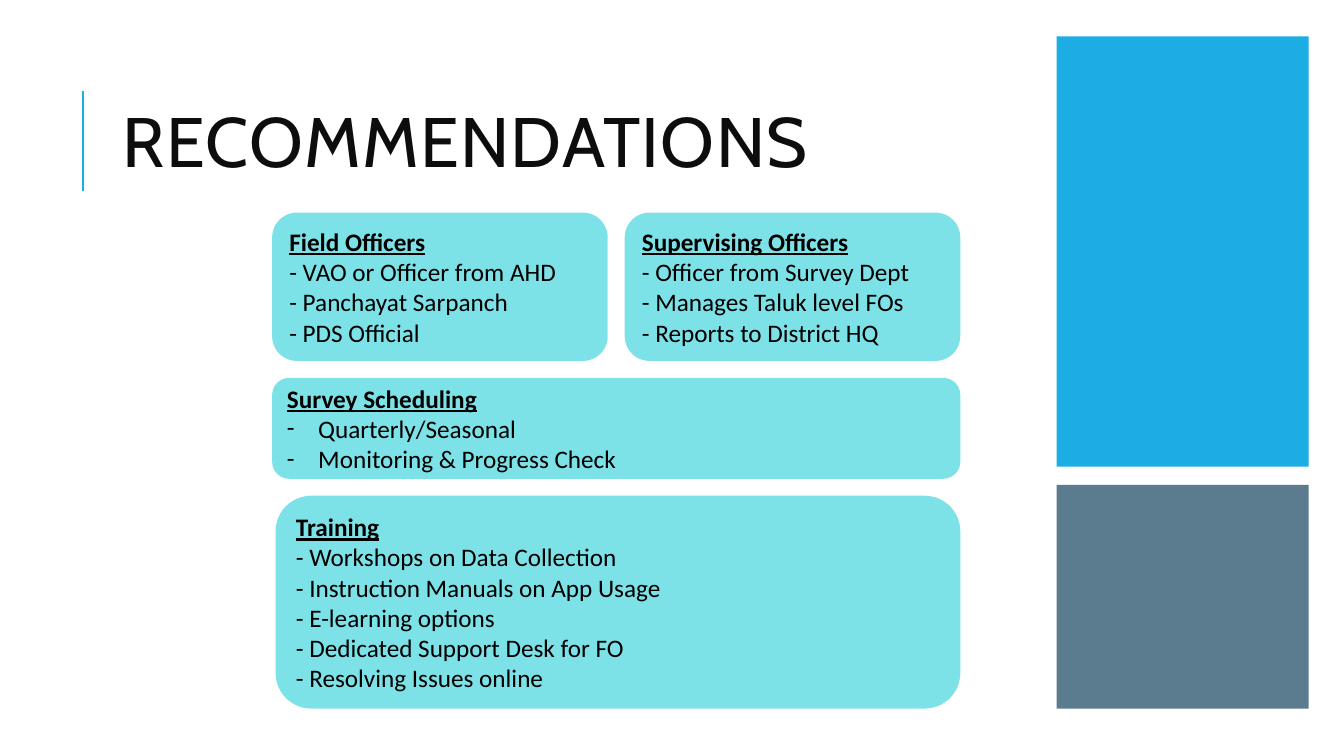
from dataclasses import dataclass

from lxml import etree
from pptx import Presentation
from pptx.dml.color import RGBColor
from pptx.enum.shapes import MSO_CONNECTOR, MSO_SHAPE
from pptx.enum.text import MSO_ANCHOR, PP_ALIGN
from pptx.oxml.ns import qn
from pptx.util import Inches, Pt


@dataclass(frozen=True)
class Theme:
    accent: str = "1CADE4"
    slate: str = "335B74"
    card: str = "7DE2E7"
    title: str = "0D0D0D"
    text: str = "000000"
    title_font: str = "Cabin"
    body_font: str = "Calibri"
    title_size: int = 50
    body_size: int = 18


@dataclass(frozen=True)
class Box:
    x: float
    y: float
    w: float
    h: float

    def emu(self):
        return [Inches(v) for v in (self.x, self.y, self.w, self.h)]


THEME = Theme()
WIDTH, HEIGHT = 13.33, 7.5
GAP = 0.0225 * HEIGHT


def share(x, y, w, h):
    return Box(x * WIDTH / 100, y * HEIGHT / 100, w * WIDTH / 100, h * HEIGHT / 100)


def split_rows(box, weights, gap=GAP):
    unit = (box.h - gap * (len(weights) - 1)) / sum(weights)
    rows, y = [], box.y
    for weight in weights:
        rows.append(Box(box.x, y, box.w, unit * weight))
        y += unit * weight + gap
    return rows


def split_columns(box, count, gap=GAP):
    w = (box.w - gap * (count - 1)) / count
    return [Box(box.x + i * (w + gap), box.y, w, box.h) for i in range(count)]


def add_text(p, text, size=THEME.body_size, font=THEME.body_font, color=THEME.text,
             bold=False, underline=False, spacing=None):
    p.alignment = PP_ALIGN.LEFT
    r = p.add_run()
    r.text = text
    r.font.size = Pt(size)
    r.font.name = font
    r.font.bold = bold
    r.font.underline = underline
    r.font.color.rgb = RGBColor.from_string(color)
    if spacing:
        r.font._element.set("spc", str(spacing * 100))


def add_dash(p):
    pPr = p._p.get_or_add_pPr()
    pPr.set("marL", str(Inches(0.31)))
    pPr.set("indent", str(-Inches(0.31)))
    etree.SubElement(pPr, qn("a:buFont")).set("typeface", THEME.body_font)
    etree.SubElement(pPr, qn("a:buChar")).set("char", "-")


def add_block(s, box, color, shape=MSO_SHAPE.RECTANGLE, alpha=None):
    sp = s.shapes.add_shape(shape, *box.emu())
    sp.shadow.inherit = False
    sp.fill.solid()
    sp.fill.fore_color.rgb = RGBColor.from_string(color)
    sp.line.fill.background()
    if alpha:
        clr = sp._element.spPr.find(qn("a:solidFill"))[0]
        etree.SubElement(clr, qn("a:alpha")).set("val", str(alpha * 1000))
    return sp


def add_card(s, box, heading, items, bullets=False):
    sp = add_block(s, box, THEME.card, MSO_SHAPE.ROUNDED_RECTANGLE)
    tf = sp.text_frame
    tf.word_wrap = True
    tf.vertical_anchor = MSO_ANCHOR.MIDDLE
    add_text(tf.paragraphs[0], heading, bold=True, underline=True)
    for item in items:
        p = tf.add_paragraph()
        if bullets:
            add_dash(p)
        add_text(p, item if bullets else f"- {item}")


def add_title(s, box, text):
    rule_x = Inches(box.x - 0.022 * WIDTH)
    line = s.shapes.add_connector(MSO_CONNECTOR.STRAIGHT, rule_x, Inches(box.y + 0.168 * HEIGHT),
                                  rule_x, Inches(box.y + 0.035 * HEIGHT))
    line.line.color.rgb = RGBColor.from_string(THEME.accent)
    line.line.width = Pt(1.5)
    etree.SubElement(line._element.spPr, qn("a:effectLst"))
    tf = s.shapes.add_textbox(*box.emu()).text_frame
    tf.word_wrap = True
    tf.vertical_anchor = MSO_ANCHOR.MIDDLE
    p = tf.paragraphs[0]
    p.line_spacing = 0.8
    add_text(p, text, size=THEME.title_size, font=THEME.title_font,
             color=THEME.title, spacing=1)


def add_sidebar(s, box):
    upper, lower = split_rows(box, (4.27, 2.22), gap=0.024 * HEIGHT)
    add_block(s, upper, THEME.accent)
    add_block(s, lower, THEME.slate, alpha=80)


def add_recommendations(s, box):
    officers, scheduling, training = split_rows(box, (1.47, 1, 2.11))
    field, supervising = split_columns(officers, 2)
    add_card(s, field, "Field Officers",
             ["VAO or Officer from AHD", "Panchayat Sarpanch", "PDS Official"])
    add_card(s, scheduling, "Survey Scheduling",
             ["Quarterly/Seasonal", "Monitoring & Progress Check"], bullets=True)
    inset = 0.005 * box.w
    add_card(s, Box(training.x + inset, training.y, training.w - inset, training.h), "Training",
             ["Workshops on Data Collection", "Instruction Manuals on App Usage",
              "E-learning options", "Dedicated Support Desk for FO", "Resolving Issues online"])
    add_card(s, supervising, "Supervising Officers",
             ["Officer from Survey Dept", "Manages Taluk level FOs", "Reports to District HQ"])


def main():
    prs = Presentation()
    prs.slide_width, prs.slide_height = Inches(WIDTH), Inches(HEIGHT)
    s = prs.slides.add_slide(prs.slide_layouts[6])
    add_title(s, share(8.4, 8.53, 65.8, 21.87), "RECOMMENDATIONS")
    add_sidebar(s, share(78.62, 4.8, 18.75, 88.93))
    add_recommendations(s, share(20.25, 28.13, 51.2, 65.6))
    prs.save("out.pptx")


if __name__ == "__main__":
    main()
